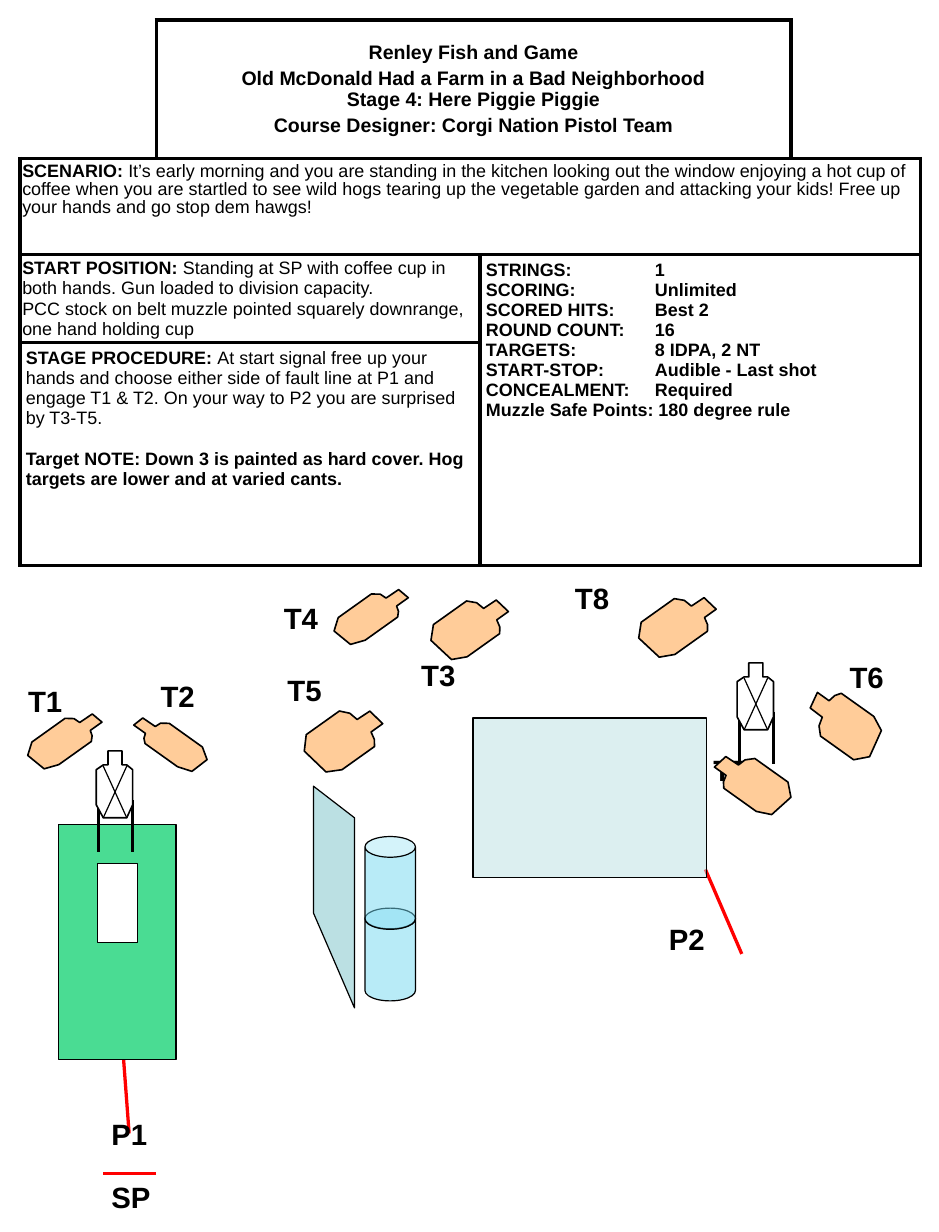
from dataclasses import dataclass

from lxml import etree
from pptx import Presentation, util as u
from pptx.dml.color import RGBColor
from pptx.enum import shapes, text
from pptx.oxml import ns

PX = 9144


@dataclass(frozen=True)
class Theme:
    font: str = "Arial"
    ink: str = "000000"
    paper: str = "FFFFFF"
    red: str = "FF0000"
    grass: str = "4ADC93"
    water: str = "73D9F1"
    wall: str = "BBE0E3"
    tan: str = "FFCC99"
    title: int = 12
    body: int = 11
    label: int = 18
    hairline: float = 0
    thin: float = 0.75
    outline: float = 1
    fault: float = 2
    heavy: float = 2.25


TARGET = [(36, 4), (72, 0), (72, 18), (88, 20), (100, 25), (100, 75),
          (85, 93), (25, 100), (0, 86), (0, 35), (16, 26), (35, 23)]
NO_SHOOT = [(10, 0), (22, 0), (22, 12), (26, 12), (31, 16), (31, 46),
            (26, 57), (6, 57), (0, 46), (0, 16), (6, 12), (10, 12)]


def px(value):
    return u.Emu(value * PX)


def color(value):
    return RGBColor.from_string(value)


class StageSheet:
    def __init__(self, slide, theme):
        self.slide = slide
        self.theme = theme

    def paint(self, shape, fill, width, opacity=None):
        shape.shadow.inherit = False
        shape.fill.solid()
        shape.fill.fore_color.rgb = color(fill)
        if opacity:
            solid = shape._element.spPr.find(ns.qn("a:solidFill"))
            etree.SubElement(solid[0], ns.qn("a:alpha"), val=str(opacity * 1000))
        shape.line.color.rgb = color(self.theme.ink)
        shape.line.width = u.Pt(width)
        return shape

    def add_text(self, frame, paragraphs, size, align=None, before=0, spacing=None, tab=None):
        for index, runs in enumerate(paragraphs):
            paragraph = frame.add_paragraph() if index else frame.paragraphs[0]
            if tab:
                stops = etree.SubElement(paragraph._p.get_or_add_pPr(), ns.qn("a:tabLst"))
                etree.SubElement(stops, ns.qn("a:tab"), pos=str(px(tab)), algn="l")
            paragraph.alignment = align
            paragraph.line_spacing = spacing
            paragraph.space_before = u.Pt(before if index else 0)
            for words, bold in runs:
                for number, line in enumerate(words.split("\n")):
                    if number:
                        paragraph.add_line_break()
                    run = paragraph.add_run()
                    run.text = line
                    run.font.name = self.theme.font
                    run.font.size = u.Pt(size)
                    run.font.bold = bold
                    run.font.color.rgb = color(self.theme.ink)

    def label(self, words, left, top, width=58, height=40):
        box = self.slide.shapes.add_textbox(px(left), px(top), px(width), px(height))
        box.text_frame.word_wrap = True
        box.text_frame.auto_size = text.MSO_AUTO_SIZE.SHAPE_TO_FIT_TEXT
        self.add_text(box.text_frame, [[(words, True)]], self.theme.label)

    def line(self, start, end, ink, width, parent=None):
        connector = (parent or self.slide).shapes.add_connector(
            shapes.MSO_CONNECTOR.STRAIGHT, *map(px, start + end))
        connector.line.color.rgb = color(ink)
        connector.line.width = u.Pt(width)
        etree.SubElement(connector._element.spPr, ns.qn("a:effectLst"))

    def polygon(self, contours, left, top, fill, width, opacity=None, scale=PX, parent=None):
        first, *others = contours
        builder = (parent or self.slide).shapes.build_freeform(*first[0], scale=scale)
        builder.add_line_segments(first[1:], close=True)
        for contour in others:
            builder.move_to(*contour[0])
            builder.add_line_segments(contour[1:], close=True)
        return self.paint(builder.convert_to_shape(px(left), px(top)), fill, width, opacity)

    def target(self, left, top, width, angle, mirrored=False, height=68):
        points = [(100 - x if mirrored else x, y) for x, y in TARGET]
        shape = self.polygon([points], left, top, self.theme.tan, self.theme.outline,
                             scale=(width * PX / 100, height * PX / 100))
        shape.rotation = angle

    def no_shoot(self, left, top):
        theme = self.theme
        group = self.slide.shapes.add_group_shape()
        for x in (2, 31):
            self.line((left + x, top + 42), (left + x, top + 86), theme.ink, theme.heavy, group)
        self.polygon([NO_SHOOT], left, top, theme.paper, theme.outline, parent=group)
        for x, end in ((26, 6), (6, 26)):
            self.line((left + x, top + 13), (left + end, top + 57), theme.ink, theme.thin, group)

    def barrel(self, left, tops, width, height):
        group = self.slide.shapes.add_group_shape()
        for top in tops:
            can = group.shapes.add_shape(
                shapes.MSO_SHAPE.CAN, px(left), px(top), px(width), px(height))
            can.adjustments[0] = 0.41
            self.paint(can, self.theme.water, self.theme.thin, 50)

    def border(self, cell, sides):
        properties = cell._tc.get_or_add_tcPr()
        for side in "LRTB":
            edge = etree.SubElement(properties, ns.qn("a:ln" + side),
                                    w=str(u.Pt(self.theme.heavy)))
            if side in sides:
                solid = etree.SubElement(edge, ns.qn("a:solidFill"))
                etree.SubElement(solid, ns.qn("a:srgbClr"), val=self.theme.ink)
            else:
                etree.SubElement(edge, ns.qn("a:noFill"))

    def table(self, left, top, columns, rows, merges, open_sides):
        frame = self.slide.shapes.add_table(
            len(rows), len(columns), px(left), px(top), px(sum(columns)), px(sum(rows)))
        table = frame.table
        table.first_row = table.horz_banding = False
        for column, width in zip(table.columns, columns):
            column.width = px(width)
        for row, height in zip(table.rows, rows):
            row.height = px(height)
        for row in range(len(rows)):
            for column in range(len(columns)):
                cell = table.cell(row, column)
                self.border(cell, open_sides.get((row, column), "LRTB"))
                cell.fill.solid()
                cell.fill.fore_color.rgb = color(self.theme.paper)
        for start, end in merges:
            table.cell(*start).merge(table.cell(*end))
        return table

    def fill_cell(self, cell, paragraphs, size, side=5, edge=5, **style):
        cell.margin_left = cell.margin_right = px(side)
        cell.margin_top = cell.margin_bottom = px(edge)
        self.add_text(cell.text_frame, paragraphs, size, **style)


def main():
    presentation = Presentation()
    presentation.slide_width, presentation.slide_height = px(800), px(1050)
    theme = Theme()
    sheet = StageSheet(presentation.slides.add_slide(presentation.slide_layouts[6]), theme)

    table = sheet.table(
        17, 17, [116, 276, 265, 110], [118, 82, 75, 190],
        [((0, 1), (0, 2)), ((1, 0), (1, 3)), ((2, 0), (2, 1)), ((2, 2), (3, 3)), ((3, 0), (3, 1))],
        {(0, 0): "RB", (0, 3): "LB"})
    title = ["Renley Fish and Game",
             "Old McDonald Had a Farm in a Bad Neighborhood\nStage 4: Here Piggie Piggie",
             "Course Designer: Corgi Nation Pistol Team"]
    table.cell(0, 1).vertical_anchor = text.MSO_ANCHOR.MIDDLE
    sheet.fill_cell(table.cell(0, 1), [[(words, True)] for words in title], theme.title,
                    align=text.PP_ALIGN.CENTER, before=2.4)
    sheet.fill_cell(table.cell(1, 0), [[
        ("SCENARIO: ", True),
        ("It’s early morning and you are standing in the kitchen looking out the window enjoying "
         "a hot cup of coffee when you are startled to see wild hogs tearing up the vegetable "
         "garden and attacking your kids! Free up your hands and go stop dem hawgs!", False),
    ]], theme.body, side=2, edge=4, spacing=0.9)
    sheet.fill_cell(table.cell(2, 0), [
        [("START POSITION: ", True),
         ("Standing at SP with coffee cup in both hands. Gun loaded to division capacity.", False)],
        [("PCC stock on belt muzzle pointed squarely downrange, one hand holding cup", False)],
    ], theme.body, side=2, edge=3, before=0.55)
    facts = ["STRINGS:\t1", "SCORING:\tUnlimited", "SCORED HITS:\tBest 2", "ROUND COUNT:\t16",
             "TARGETS:\t8 IDPA, 2 NT", "START-STOP:\tAudible - Last shot",
             "CONCEALMENT:\tRequired", "Muzzle Safe Points: 180 degree rule"]
    sheet.fill_cell(table.cell(2, 2), [[(fact, True)] for fact in facts], theme.body, tab=144)
    sheet.fill_cell(table.cell(3, 0), [
        [("STAGE PROCEDURE: ", True),
         ("At start signal free up your hands and choose either side of fault line at P1 and "
          "engage T1 & T2. On your way to P2 you are surprised by T3-T5.", False)],
        [("Target NOTE: Down 3 is painted as hard cover. Hog targets are lower and at varied "
          "cants.", True)],
    ], theme.body, before=13)

    sheet.line((110, 966), (105, 899), theme.red, theme.fault)
    sheet.label("P1", 85, 946)
    sheet.label("T1", 14, 577)
    garden = [(0, 0), (100, 0), (100, 200), (0, 200)]
    opening = [(33, 33), (67, 33), (67, 100), (33, 100)]
    sheet.polygon([garden, opening], 50, 703, theme.grass, theme.hairline)
    sheet.barrel(311, (774, 713), 43, 79)
    sheet.polygon([[(0, 108), (35, 189), (35, 27), (0, 0)]], 267, 670, theme.wall, theme.thin)
    sheet.line((632, 813), (601, 741), theme.red, theme.fault)
    for words, left, top in [("T2", 127, 573), ("T8", 480, 490), ("T6", 714, 557),
                             ("T5", 235, 568), ("T4", 232, 507)]:
        sheet.label(words, left, top)
    sheet.label("T3", 349, 555, 51, 42)
    sheet.label("T7", 598, 636)
    sheet.polygon([[(0, 0), (199, 0), (199, 136), (0, 136)]], 403, 612,
                  theme.wall, theme.thin, 50)
    sheet.label("P2", 560, 780)

    sheet.target(132, 599, 26, 305.5, mirrored=True)
    sheet.target(41, 596, 29, 54.5)
    sheet.no_shoot(82, 640)
    for left, top, width in [(272, 595, 42), (302, 490, 29), (381, 500, 39), (558, 498, 39)]:
        sheet.target(left, top, width, 54.5)
    sheet.target(623, 633, 36, 305.5, mirrored=True)
    sheet.target(699, 583, 40, 305.5)
    sheet.no_shoot(628, 565)
    sheet.line((133, 1000), (88, 1000), theme.red, theme.fault)
    sheet.label("SP", 85, 1000)
    presentation.save("out.pptx")


if __name__ == "__main__":
    main()
